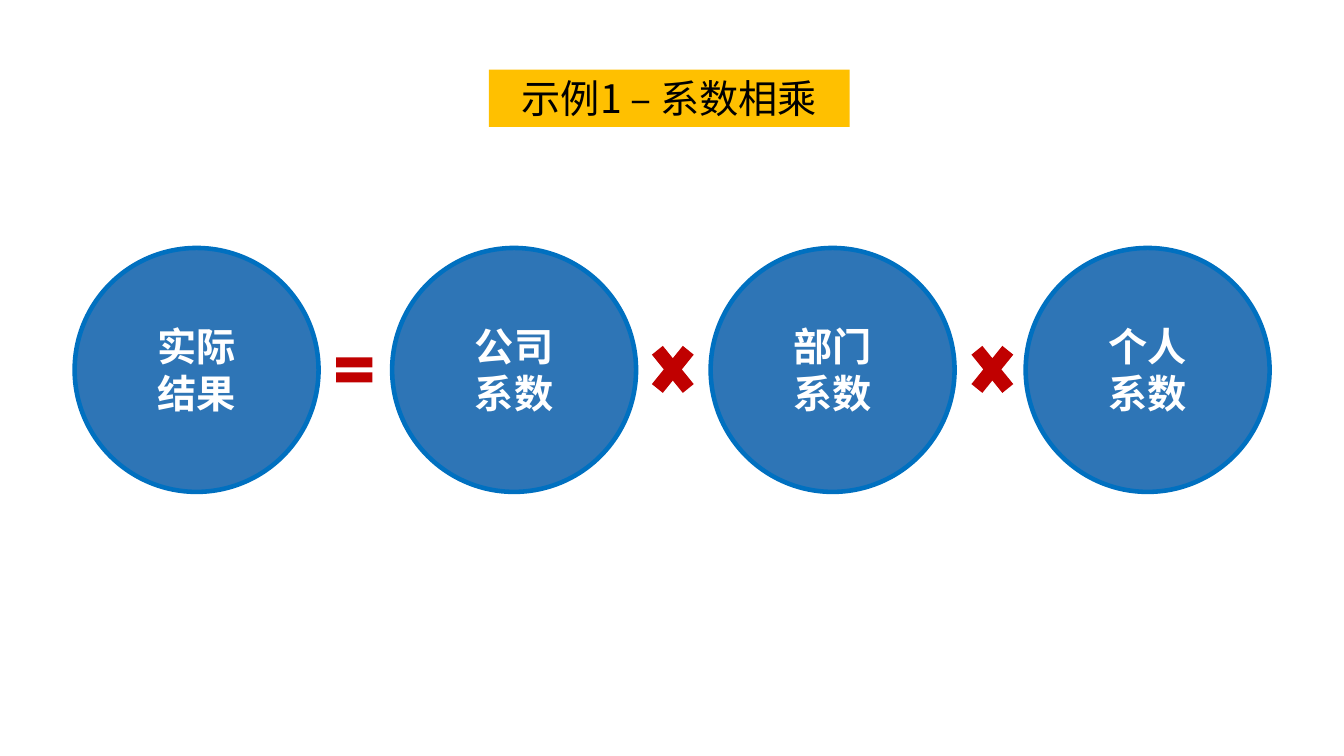
from pptx import Presentation
from pptx.dml.color import RGBColor
from pptx.enum.shapes import MSO_SHAPE
from pptx.enum.text import MSO_AUTO_SIZE, PP_ALIGN
from pptx.util import Pt
from lxml import etree

OVAL = MSO_SHAPE.OVAL
RECT = MSO_SHAPE.RECTANGLE
EQUAL = MSO_SHAPE.MATH_EQUAL
TIMES = MSO_SHAPE.MATH_MULTIPLY
CENTER = PP_ALIGN.CENTER
GROW = MSO_AUTO_SIZE.SHAPE_TO_FIT_TEXT

FONT = "Noto Sans CJK SC"
A_NS = "{http://schemas.openxmlformats.org/drawingml/2006/main}"
SIZE = 174.24
TOP = 177.12
FACTORS = [(53.28, "实际结果"), (280.08, "公司系数"),
           (507.6, "部门系数"), (732.6, "个人系数")]
SIGNS = [(EQUAL, 235.44, 249.12, 35.28, 30.24),
         (TIMES, 459.36, 237.6, 42.48, 52.56),
         (TIMES, 687.6, 237.6, 42.48, 52.56)]


def color(code):
    return RGBColor.from_string(code)


def add_shape(slide, kind, x, y, w, h, fill, line=None):
    shape = slide.shapes.add_shape(kind, Pt(x), Pt(y), Pt(w), Pt(h))
    shape.shadow.inherit = False
    shape.fill.solid()
    shape.fill.fore_color.rgb = color(fill)
    if line:
        shape.line.color.rgb = color(line)
        shape.line.width = Pt(3.25)
    else:
        shape.line.fill.background()
    return shape


def set_text(shape, text, ink, bold=False):
    frame = shape.text_frame
    frame.word_wrap = True
    frame.auto_size = GROW
    frame.text = text
    para = frame.paragraphs[0]
    para.alignment = CENTER
    run = para.runs[0]
    run.font.size = Pt(28)
    run.font.bold = bold
    run.font.color.rgb = color(ink)
    run.font.name = FONT
    east = etree.SubElement(run.font._element, A_NS + "ea")
    east.set("typeface", FONT)


def add_factor(slide, x, text):
    add_shape(slide, OVAL, x, TOP, SIZE, SIZE, "2E75B6", "0070C0")
    w, h = 72, 74.88
    box = slide.shapes.add_textbox(Pt(x + (SIZE - w) / 2),
                                   Pt(TOP + (SIZE - h) / 2), Pt(w), Pt(h))
    set_text(box, text, "FFFFFF", True)


def main():
    deck = Presentation()
    deck.slide_width = Pt(960)
    deck.slide_height = Pt(540)
    slide = deck.slides.add_slide(deck.slide_layouts[6])
    for x, text in FACTORS:
        add_factor(slide, x, text)
    for kind, x, y, w, h in SIGNS:
        add_shape(slide, kind, x, y, w, h, "C00000")
    title = add_shape(slide, RECT, 349.2, 49.68, 257.76, 41.04, "FFC000")
    set_text(title, "示例1 – 系数相乘", "000000")
    deck.save("out.pptx")


if __name__ == "__main__":
    main()
